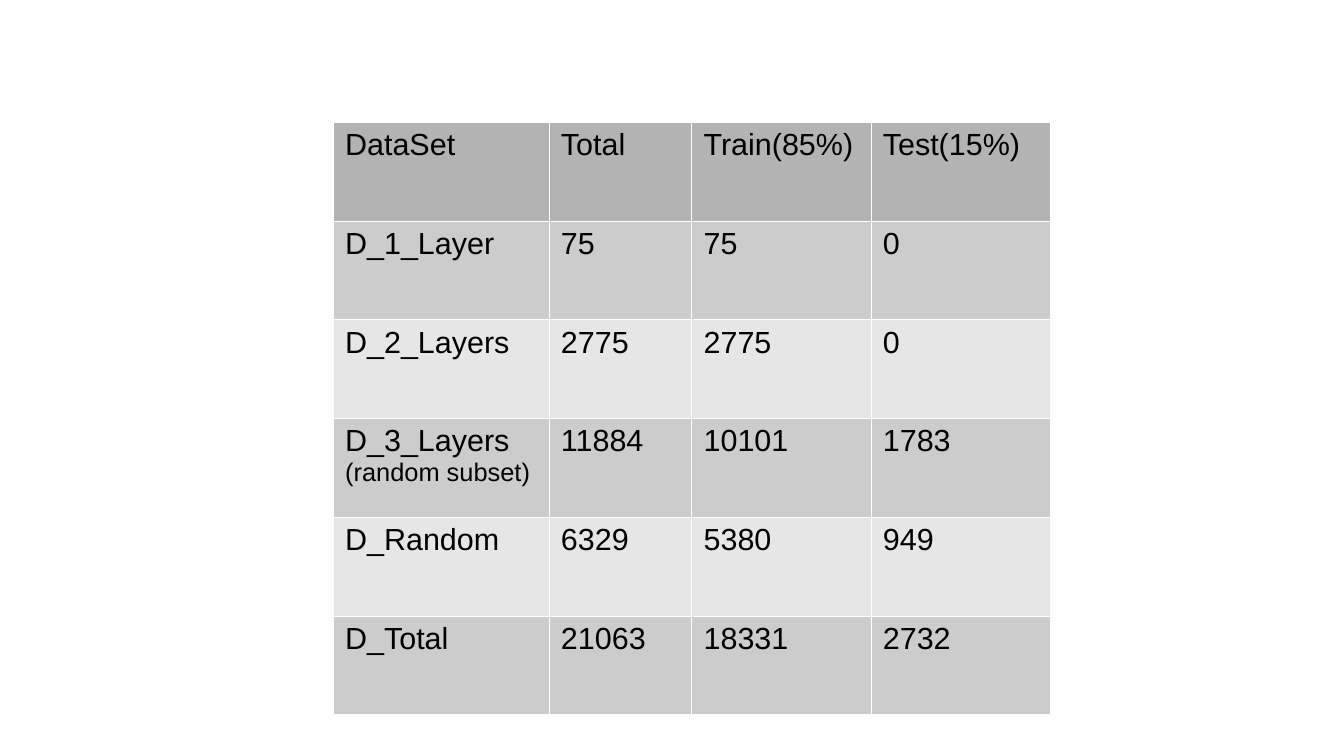
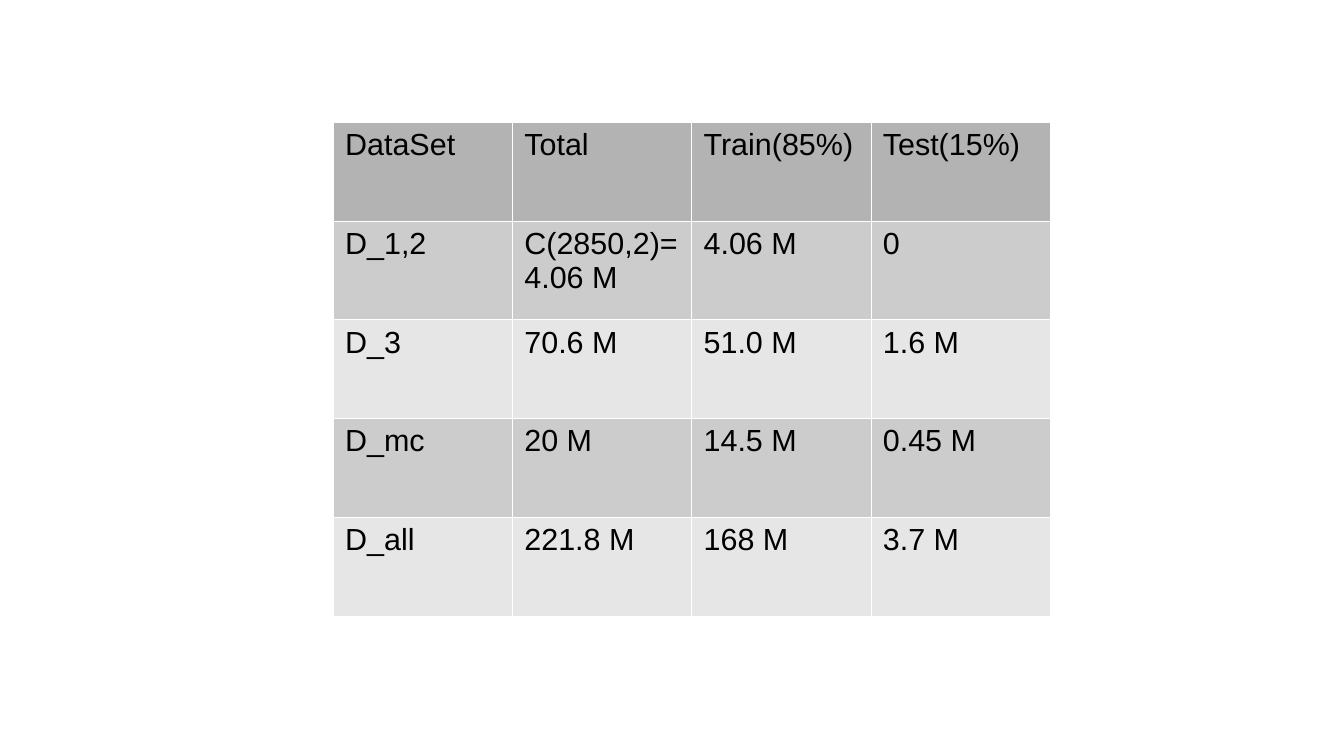
from dataclasses import dataclass

import lxml.etree
import pptx
import pptx.dml.color
import pptx.oxml.ns
import pptx.presentation
import pptx.table
import pptx.util

Inches = pptx.util.Inches
Pt = pptx.util.Pt
RGBColor = pptx.dml.color.RGBColor

BLACK = RGBColor(0x00, 0x00, 0x00)
WHITE = RGBColor(0xFF, 0xFF, 0xFF)
HEADER_GREY = RGBColor(0xB3, 0xB3, 0xB3)
BAND_GREYS = (RGBColor(0xCC, 0xCC, 0xCC), RGBColor(0xE6, 0xE6, 0xE6))

FONT = "Arial"
TEXT_SIZE = Pt(18)
NOTE_SIZE = Pt(15)
BORDER_WIDTH = Pt(0.06)
TABLE_LEFT = Inches(2.73)
TABLE_TOP = Inches(1)
ROW_HEIGHT = Inches(0.81)
BLANK_LAYOUT = 6
HEADER = ("DataSet", "Total", "Train(85%)", "Test(15%)")


@dataclass(frozen=True)
class DatasetTable:
    column_widths: tuple[float, ...]
    rows: tuple[tuple[str, ...], ...]


LAYER_COUNTS = DatasetTable(
    (1.77, 1.17, 1.47, 1.47),
    (
        ("D_1_Layer", "75", "75", "0"),
        ("D_2_Layers", "2775", "2775", "0"),
        ("D_3_Layers\v(random subset)", "11884", "10101", "1783"),
        ("D_Random", "6329", "5380", "949"),
        ("D_Total", "21063", "18331", "2732"),
    ),
)
PAIR_COUNTS = DatasetTable(
    (1.47,) * len(HEADER),
    (
        ("D_1,2", "C(2850,2)=4.06 M", "4.06 M", "0"),
        ("D_3", "70.6 M", "51.0 M", "1.6 M"),
        ("D_mc", "20 M", "14.5 M", "0.45 M"),
        ("D_all", "221.8 M", "168 M", "3.7 M"),
    ),
)


def add_borders(cell: pptx.table._Cell) -> None:
    qn = pptx.oxml.ns.qn
    properties = cell._tc.get_or_add_tcPr()
    for side in ("a:lnL", "a:lnR", "a:lnT", "a:lnB"):
        border = lxml.etree.SubElement(properties, qn(side), w=str(int(BORDER_WIDTH)))
        line_fill = lxml.etree.SubElement(border, qn("a:solidFill"))
        lxml.etree.SubElement(line_fill, qn("a:srgbClr"), val=str(WHITE))


def format_cell(cell: pptx.table._Cell, text: str, fill: RGBColor) -> None:
    add_borders(cell)
    cell.fill.solid()
    cell.fill.fore_color.rgb = fill
    paragraph = cell.text_frame.paragraphs[0]
    paragraph.text = text
    for position, run in enumerate(paragraph.runs):
        run.font.name = FONT
        run.font.size = NOTE_SIZE if position else TEXT_SIZE
        run.font.bold = False
        run.font.color.rgb = BLACK


def add_dataset_slide(
    presentation: pptx.presentation.Presentation, dataset: DatasetTable
) -> None:
    slide = presentation.slides.add_slide(presentation.slide_layouts[BLANK_LAYOUT])
    rows = (HEADER, *dataset.rows)
    table = slide.shapes.add_table(
        len(rows),
        len(HEADER),
        TABLE_LEFT,
        TABLE_TOP,
        Inches(sum(dataset.column_widths)),
        ROW_HEIGHT * len(rows),
    ).table
    for column, width in zip(table.columns, dataset.column_widths):
        column.width = Inches(width)
    for row_index, texts in enumerate(rows):
        table.rows[row_index].height = ROW_HEIGHT
        fill = BAND_GREYS[(row_index - 1) % 2] if row_index else HEADER_GREY
        for column_index, text in enumerate(texts):
            format_cell(table.cell(row_index, column_index), text, fill)


def main() -> None:
    presentation = pptx.Presentation()
    presentation.slide_width = Inches(11.02)
    presentation.slide_height = Inches(6.2)
    for dataset in (LAYER_COUNTS, PAIR_COUNTS):
        add_dataset_slide(presentation, dataset)
    presentation.save("out.pptx")


if __name__ == "__main__":
    main()
